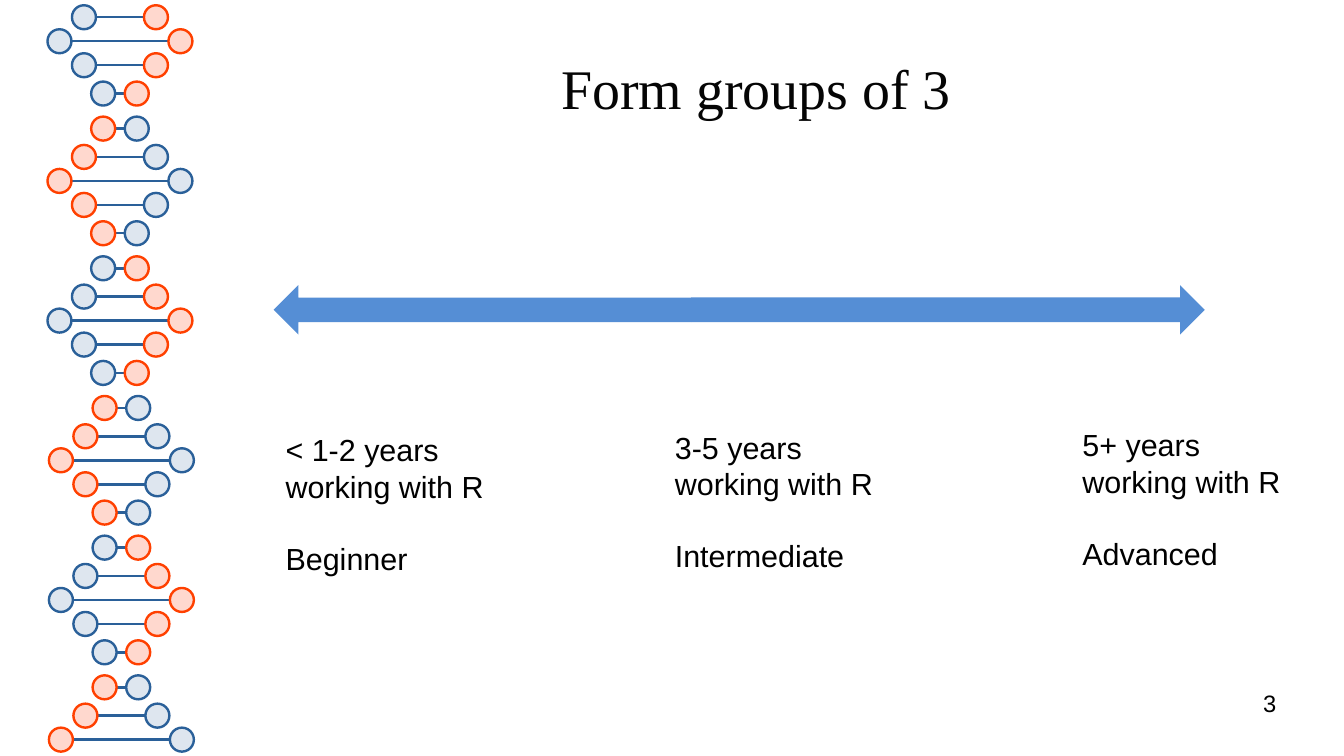
from dataclasses import dataclass

from lxml.etree import SubElement
from pptx import Presentation
from pptx.dml.color import RGBColor
from pptx.enum.shapes import MSO_CONNECTOR, MSO_SHAPE
from pptx.enum.text import MSO_ANCHOR, PP_ALIGN
from pptx.oxml.ns import qn
from pptx.util import Cm, Pt


@dataclass(frozen=True)
class Theme:
    blue: RGBColor = RGBColor(0x2A, 0x60, 0x99)
    pale_blue: RGBColor = RGBColor(0xDE, 0xE6, 0xEF)
    orange: RGBColor = RGBColor(0xFF, 0x40, 0x00)
    pale_orange: RGBColor = RGBColor(0xFF, 0xD8, 0xCE)
    arrow: RGBColor = RGBColor(0x55, 0x8E, 0xD5)
    title: RGBColor = RGBColor(0x05, 0x05, 0x05)
    text: RGBColor = RGBColor(0x00, 0x00, 0x00)
    title_font: str = "Times New Roman"
    text_font: str = "Arial"
    title_size: Pt = Pt(33)
    text_size: Pt = Pt(18)
    number_size: Pt = Pt(14)
    outline: Pt = Pt(1.42)


theme = Theme()
presentation = Presentation()
presentation.slide_width = Cm(28)
presentation.slide_height = Cm(15.75)
slide = presentation.slides.add_slide(presentation.slide_layouts[6])


def add_text_box(left, top, width, height, margins=(0, 0)):
    frame = slide.shapes.add_textbox(Cm(left), Cm(top), Cm(width), Cm(height)).text_frame
    frame.word_wrap = True
    frame.margin_left = frame.margin_right = Cm(margins[0])
    frame.margin_top = frame.margin_bottom = Cm(margins[1])
    return frame


def add_run(paragraph, text, size, font=theme.text_font, color=theme.text):
    run = paragraph.add_run()
    run.text = text
    run.font.size = size
    run.font.name = font
    run.font.color.rgb = color


# DNA helix: the strands swap sides at every half-turn
bead_size = 0.5
half_turn = 2.91
first_rung = 0.86
rungs = [(-1.09, 0.35), (-0.5, 0.75), (0, 1.26), (0.5, 0.75), (1.09, 0.35)]
blue_bead = (theme.pale_blue, theme.blue)
orange_bead = (theme.pale_orange, theme.orange)

for turn in range(6):
    center = 2.5 if turn < 3 else 2.53
    beads = (blue_bead, orange_bead) if turn % 2 == 0 else (orange_bead, blue_bead)
    for offset, reach in rungs:
        y = first_rung + turn * half_turn + offset
        if not 0 < y < 15.75:
            continue
        inner = reach - bead_size / 2
        rung = slide.shapes.add_connector(
            MSO_CONNECTOR.STRAIGHT, Cm(center - inner), Cm(y), Cm(center + inner), Cm(y))
        rung.line.color.rgb = theme.blue
        rung.line.width = theme.outline
        SubElement(rung._element.spPr, qn("a:effectLst"))
        for x, (fill, outline) in zip((center - reach, center + reach), beads):
            bead = slide.shapes.add_shape(
                MSO_SHAPE.OVAL, Cm(x - bead_size / 2), Cm(y - bead_size / 2),
                Cm(bead_size), Cm(bead_size))
            bead.shadow.inherit = False
            bead.fill.solid()
            bead.fill.fore_color.rgb = fill
            bead.line.color.rgb = outline
            bead.line.width = theme.outline

# Title
title = add_text_box(4.5, 0.6, 22.5, 2.6)
title.vertical_anchor = MSO_ANCHOR.MIDDLE
title.paragraphs[0].alignment = PP_ALIGN.CENTER
title.paragraphs[0].line_spacing = 0.9
add_run(title.paragraphs[0], "Form groups of 3", theme.title_size, theme.title_font, theme.title)

# Slide number
number = add_text_box(20.07, 14.35, 6.52, 1.1)
number.paragraphs[0].alignment = PP_ALIGN.RIGHT
add_run(number.paragraphs[0], "3", theme.number_size)

# Experience scale: two arrows pointing away from each other
for left, width, rotation in [(14.4, 10.7, 0), (5.7, 8.7, 180)]:
    arrow = slide.shapes.add_shape(
        MSO_SHAPE.RIGHT_ARROW, Cm(left), Cm(5.94), Cm(width), Cm(1.03))
    arrow.rotation = rotation
    arrow.shadow.inherit = False
    arrow.fill.solid()
    arrow.fill.fore_color.rgb = theme.arrow
    arrow.line.fill.background()

# Experience levels
levels = [
    (5.7, 8.85, "< 1-2 years working with R", "Beginner"),
    (13.81, 8.8, "3-5 years working with R", "Intermediate"),
    (22.3, 8.75, "5+ years working with R", "Advanced"),
]
for left, top, experience, level in levels:
    frame = add_text_box(left, top, 5.25, 3.33, margins=(0.25, 0.13))
    add_run(frame.paragraphs[0], experience, theme.text_size)
    paragraph = frame.add_paragraph()
    paragraph.space_before = Pt(21)
    add_run(paragraph, level, theme.text_size)

presentation.save("out.pptx")
